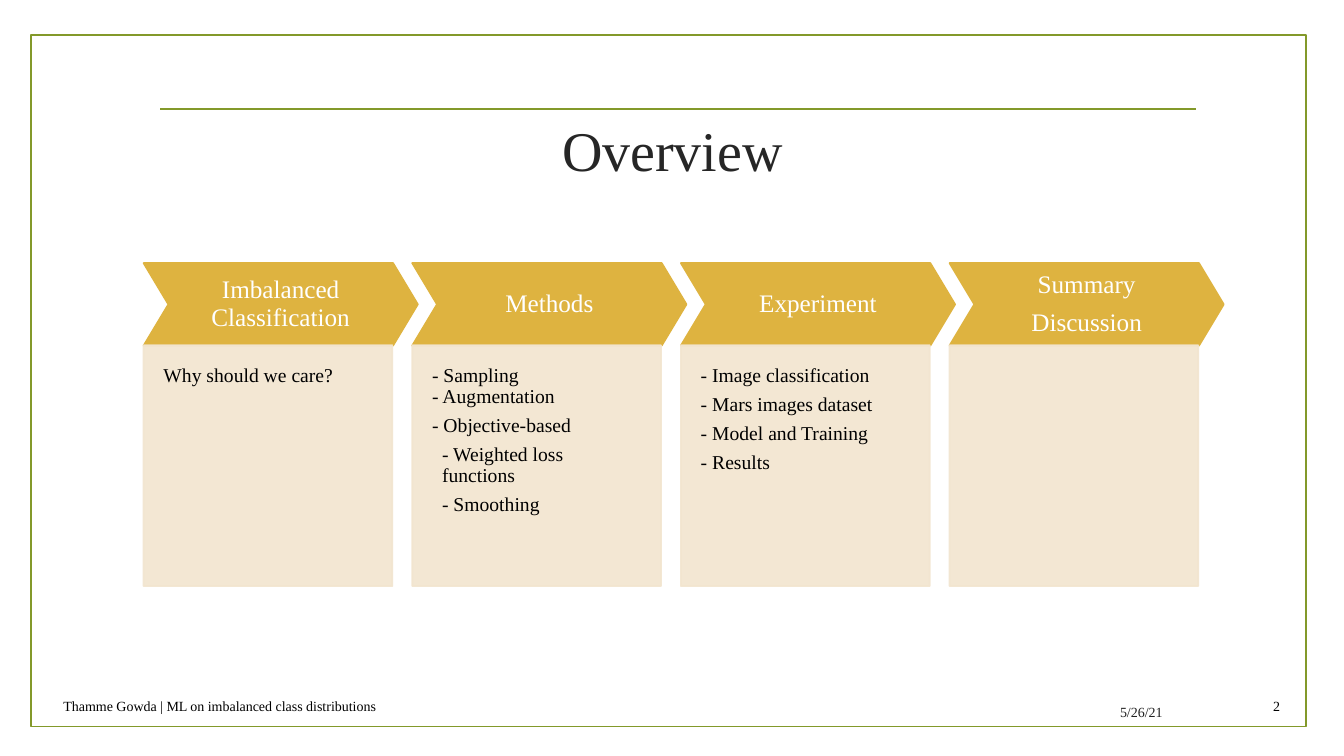
"""Build the overview slide: four chevron stages with a detail panel under each."""
from dataclasses import dataclass

from lxml.etree import SubElement
from pptx import Presentation
from pptx.dml.color import RGBColor
from pptx.enum.shapes import MSO_CONNECTOR, MSO_SHAPE
from pptx.enum.text import MSO_ANCHOR as Anchor, PP_ALIGN as Align
from pptx.oxml.ns import qn
from pptx.shapes.autoshape import Shape
from pptx.slide import Slide
from pptx.text.text import TextFrame, _Paragraph as Paragraph
from pptx.util import Cm, Pt

FONT = "Times New Roman"
GREEN = RGBColor(0x83, 0x99, 0x2A)
GOLD = RGBColor(0xDE, 0xB3, 0x40)
CREAM = RGBColor(0xF2, 0xE5, 0xCF)
WHITE = RGBColor(0xFF, 0xFF, 0xFF)
BLACK = RGBColor(0x00, 0x00, 0x00)
CHARCOAL = RGBColor(0x26, 0x26, 0x26)
DATE_GRAY = RGBColor(0x21, 0x21, 0x21)

STAGE_LEFT, STAGE_PITCH = 3.62, 6.77
CHEVRON_TOP, CHEVRON_WIDTH, CHEVRON_HEIGHT = 6.63, 6.91, 2.08
PANEL_TOP, PANEL_WIDTH, PANEL_HEIGHT = 8.7, 6.27, 6.07
BORDER = Pt(1.25)


@dataclass(frozen=True)
class Entry:
    """One line of a panel, with its indent in centimetres and its gap in points."""
    text: str
    indent: float = 0
    gap: float = 5.6


@dataclass(frozen=True)
class Stage:
    """One chevron with its headings and the entries below it."""
    headings: tuple[str, ...]
    entries: tuple[Entry, ...] = ()


@dataclass(frozen=True)
class Note:
    """One small text at the foot of the slide, placed in centimetres."""
    text: str
    left: float
    top: float
    width: float
    align: Align
    color: RGBColor


STAGES = (
    Stage(("Imbalanced Classification",), (Entry("Why should we care?"),)),
    Stage(("Methods",), (
        Entry("- Sampling", gap=0),
        Entry("- Augmentation"),
        Entry("- Objective-based"),
        Entry("- Weighted loss functions", indent=0.25),
        Entry("- Smoothing", indent=0.25),
    )),
    Stage(("Experiment",), (
        Entry("- Image classification"),
        Entry("- Mars images dataset"),
        Entry("- Model and Training"),
        Entry("- Results"),
    )),
    Stage(("Summary", "Discussion")),
)

NOTES = (
    Note("Thamme Gowda | ML on imbalanced class distributions", 1.35, 17.4, 20.29, Align.LEFT, BLACK),
    Note("2", 31.01, 17.4, 1.5, Align.RIGHT, BLACK),
    Note("5/26/21", 25.1, 17.55, 4.45, Align.RIGHT, DATE_GRAY),
)


def format_paragraph(paragraph: Paragraph, text: str, size: float, color: RGBColor, align: Align) -> None:
    """Write the text of a paragraph and set its font and alignment."""
    paragraph.text = text
    paragraph.alignment = align
    paragraph.font.name = FONT
    paragraph.font.size = Pt(size)
    paragraph.font.color.rgb = color


def set_margins(frame: TextFrame, side: float, bottom: float) -> None:
    """Set equal left, top and right margins and a separate bottom one."""
    frame.margin_left = frame.margin_top = frame.margin_right = Cm(side)
    frame.margin_bottom = Cm(bottom)
    frame.word_wrap = True


def add_block(slide: Slide, kind: MSO_SHAPE, left: float, top: float,
              width: float, height: float, color: RGBColor) -> Shape:
    """Add a flat shape whose fill and border share one colour."""
    shape = slide.shapes.add_shape(kind, Cm(left), Cm(top), Cm(width), Cm(height))
    shape.shadow.inherit = False
    shape.fill.solid()
    shape.fill.fore_color.rgb = color
    shape.line.color.rgb = color
    shape.line.width = BORDER
    return shape


def add_entries(frame: TextFrame, entries: tuple[Entry, ...], size: float,
                color: RGBColor, align: Align) -> None:
    """Fill a text frame with one paragraph per entry."""
    for index, entry in enumerate(entries):
        paragraph = frame.add_paragraph() if index else frame.paragraphs[0]
        if entry.indent:
            paragraph._p.get_or_add_pPr().set("marL", str(Cm(entry.indent)))
        format_paragraph(paragraph, entry.text, size, color, align)
        paragraph.line_spacing = 0.9
        paragraph.space_after = Pt(entry.gap)


def add_stage(slide: Slide, stage: Stage, left: float) -> None:
    """Draw a chevron and the panel under it."""
    chevron = add_block(slide, MSO_SHAPE.CHEVRON, left, CHEVRON_TOP, CHEVRON_WIDTH, CHEVRON_HEIGHT, GOLD)
    chevron.adjustments[0] = 0.3
    set_margins(chevron.text_frame, 0.25, 0.25)
    chevron.text_frame.vertical_anchor = Anchor.MIDDLE
    headings = tuple(Entry(heading, gap=7.1) for heading in stage.headings)
    add_entries(chevron.text_frame, headings, 18, WHITE, Align.CENTER)

    panel = add_block(slide, MSO_SHAPE.RECTANGLE, left, PANEL_TOP, PANEL_WIDTH, PANEL_HEIGHT, CREAM)
    for color in panel._element.spPr.iter(qn("a:srgbClr")):
        SubElement(color, qn("a:alpha"), val="90000")
    set_margins(panel.text_frame, 0.5, 1)
    panel.text_frame.vertical_anchor = Anchor.TOP
    add_entries(panel.text_frame, stage.entries, 14, BLACK, Align.LEFT)


def add_decoration(slide: Slide) -> None:
    """Draw the green frame and the rule above the title."""
    frame = slide.shapes.add_shape(MSO_SHAPE.RECTANGLE, Cm(0.79), Cm(0.89), Cm(32.13), Cm(17.42))
    frame.shadow.inherit = False
    frame.fill.background()
    rule = slide.shapes.add_connector(MSO_CONNECTOR.STRAIGHT, Cm(4.04), Cm(2.74), Cm(30.15), Cm(2.74))
    SubElement(rule._element.spPr, qn("a:effectLst"))
    for outline in (frame.line, rule.line):
        outline.color.rgb = GREEN
        outline.width = BORDER


def add_title(slide: Slide, text: str) -> None:
    """Place and format the title placeholder."""
    title = slide.shapes.title
    title.left, title.top, title.width, title.height = Cm(3.61), Cm(2.72), Cm(26.67), Cm(2.08)
    title.text_frame.vertical_anchor = Anchor.MIDDLE
    format_paragraph(title.text_frame.paragraphs[0], text, 40, CHARCOAL, Align.CENTER)


def add_note(slide: Slide, note: Note) -> None:
    """Add a small text at the foot of the slide."""
    box = slide.shapes.add_textbox(Cm(note.left), Cm(note.top), Cm(note.width), Cm(0.79))
    box.text_frame.word_wrap = True
    box.text_frame.vertical_anchor = Anchor.MIDDLE
    format_paragraph(box.text_frame.paragraphs[0], note.text, 10, note.color, note.align)


def main() -> None:
    """Build and save the presentation."""
    presentation = Presentation()
    presentation.slide_width, presentation.slide_height = Cm(33.87), Cm(19.05)
    slide = presentation.slides.add_slide(presentation.slide_layouts.get_by_name("Title Only"))
    add_decoration(slide)
    add_title(slide, "Overview")
    for index, stage in enumerate(STAGES):
        add_stage(slide, stage, STAGE_LEFT + index * STAGE_PITCH)
    for note in NOTES:
        add_note(slide, note)
    presentation.save("out.pptx")


if __name__ == "__main__":
    main()
